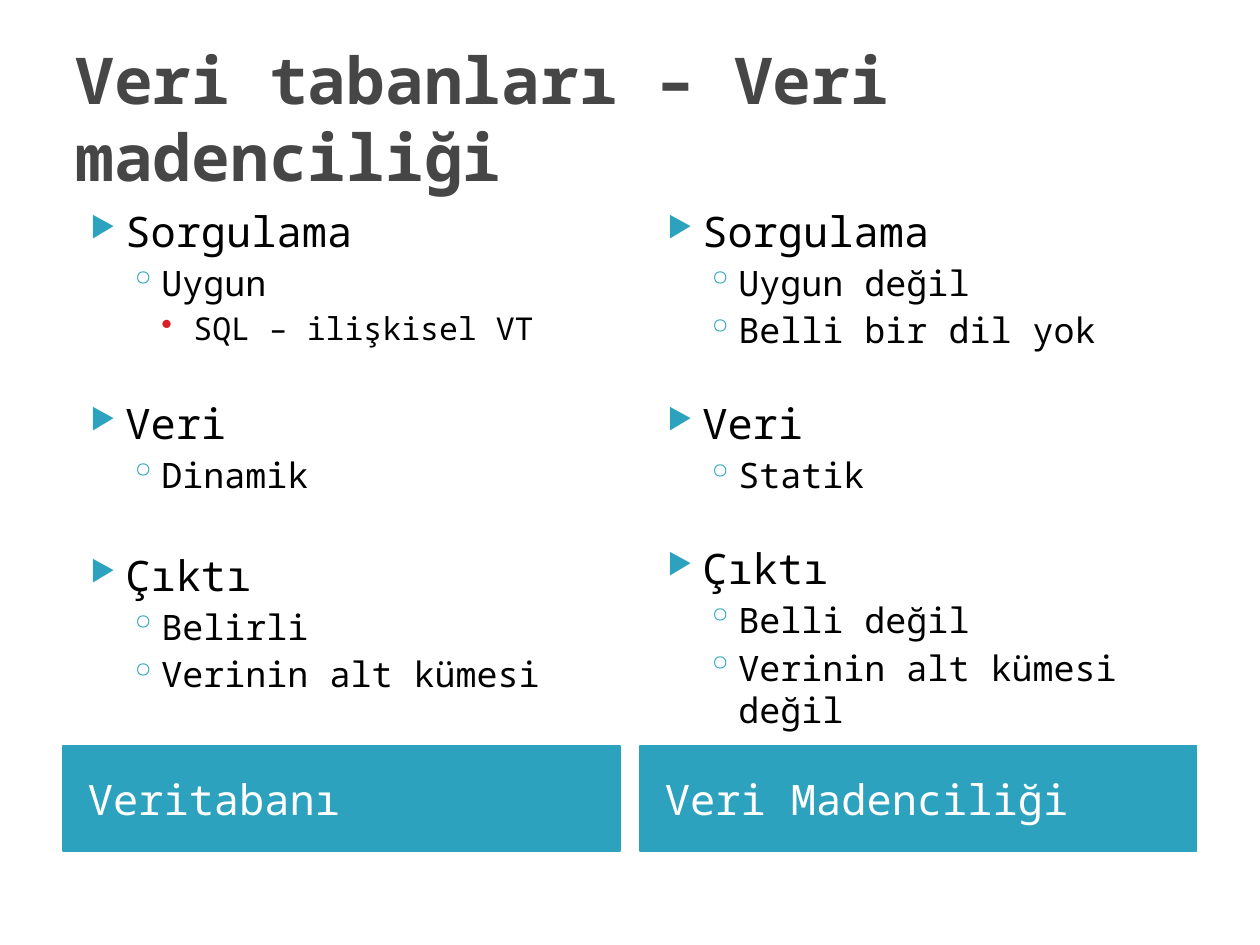
from dataclasses import dataclass
from typing import NamedTuple

from lxml import etree
from pptx import Presentation
from pptx.dml.color import RGBColor
from pptx.enum.shapes import MSO_SHAPE
from pptx.enum.text import MSO_ANCHOR, PP_ALIGN
from pptx.oxml.ns import qn
from pptx.util import Pt

PX = 914400 // 126
FONT = "Noto Sans Mono"
TEAL = RGBColor(0x2D, 0xA2, 0xBF)
RED = RGBColor(0xDA, 0x1F, 0x28)
GRAY = RGBColor(0x46, 0x46, 0x46)
BLACK = RGBColor(0x00, 0x00, 0x00)
WHITE = RGBColor(0xFF, 0xFF, 0xFF)
RECTANGLE = MSO_SHAPE.RECTANGLE
MIDDLE = MSO_ANCHOR.MIDDLE
TOP = MSO_ANCHOR.TOP
LEFT = PP_ALIGN.LEFT


class Box(NamedTuple):
    left: int
    top: int
    width: int
    height: int

    def emu(self) -> tuple:
        return tuple(value * PX for value in self)


class Level(NamedTuple):
    size: int
    margin: int
    hanging: int
    space_before: float
    bullet: str
    color: RGBColor
    bullet_percent: int = 100


class Item(NamedTuple):
    level: int
    text: str
    space_before: float | None = None


@dataclass
class Column:
    left: int
    label: str
    items: list[Item]


LEVELS = [
    Level(24, 50, 35, 4, "▶", TEAL, 68),
    Level(20, 86, 32, 3.2, "◦", TEAL),
    Level(18, 118, 32, 3.5, "•", RED),
]
TITLE = "Veri tabanları – Veri madenciliği"
TITLE_BOX = Box(63, 38, 1134, 158)
COLUMN_WIDTH = 557
BODY_TOP, BODY_HEIGHT = 199, 543
LABEL_TOP, LABEL_HEIGHT = 746, 105
COLUMNS = [
    Column(63, "Veritabanı", [
        Item(0, "Sorgulama"),
        Item(1, "Uygun"),
        Item(2, "SQL – ilişkisel VT"),
        Item(0, "Veri", 28.7),
        Item(1, "Dinamik"),
        Item(0, "Çıktı", 30.8),
        Item(1, "Belirli"),
        Item(1, "Verinin alt kümesi"),
    ]),
    Column(640, "Veri Madenciliği", [
        Item(0, "Sorgulama"),
        Item(1, "Uygun değil"),
        Item(1, "Belli bir dil yok"),
        Item(0, "Veri", 26.8),
        Item(1, "Statik"),
        Item(0, "Çıktı", 26.8),
        Item(1, "Belli değil"),
        Item(1, "Verinin alt kümesi değil"),
    ]),
]


def format_runs(paragraph, size: float, color: RGBColor, bold: bool = False) -> None:
    for run in paragraph.runs:
        run.font.name = FONT
        run.font.size = Pt(size)
        run.font.bold = bold
        run.font.color.rgb = color


def add_text_box(slide, box: Box, anchor):
    text_frame = slide.shapes.add_textbox(*box.emu()).text_frame
    text_frame.word_wrap = True
    text_frame.vertical_anchor = anchor
    return text_frame


def add_bullet(paragraph, level: Level) -> None:
    properties = paragraph._p.get_or_add_pPr()
    properties.set("marL", str(level.margin * PX))
    properties.set("indent", str(-level.hanging * PX))
    color = etree.SubElement(properties, qn("a:buClr"))
    etree.SubElement(color, qn("a:srgbClr"), val=str(level.color))
    etree.SubElement(properties, qn("a:buSzPct"), val=str(level.bullet_percent * 1000))
    etree.SubElement(properties, qn("a:buChar"), char=level.bullet)


def add_title(slide) -> None:
    text_frame = add_text_box(slide, TITLE_BOX, MIDDLE)
    text_frame.text = TITLE
    format_runs(text_frame.paragraphs[0], 36.9, GRAY, bold=True)


def add_body(slide, column: Column) -> None:
    box = Box(column.left, BODY_TOP, COLUMN_WIDTH, BODY_HEIGHT)
    text_frame = add_text_box(slide, box, TOP)
    text_frame.text = "\n".join(item.text for item in column.items)
    for paragraph, item in zip(text_frame.paragraphs, column.items):
        level = LEVELS[item.level]
        paragraph.level = item.level
        paragraph.space_before = Pt(item.space_before or level.space_before)
        add_bullet(paragraph, level)
        format_runs(paragraph, level.size, BLACK)


def add_label(slide, column: Column) -> None:
    box = Box(column.left, LABEL_TOP, COLUMN_WIDTH, LABEL_HEIGHT)
    shape = slide.shapes.add_shape(RECTANGLE, *box.emu())
    shape.shadow.inherit = False
    shape.fill.solid()
    shape.fill.fore_color.rgb = TEAL
    shape.line.color.rgb = TEAL
    shape.line.width = Pt(0.75)
    text_frame = shape.text_frame
    text_frame.word_wrap = True
    text_frame.vertical_anchor = MIDDLE
    text_frame.margin_left = 25 * PX
    text_frame.text = column.label
    paragraph = text_frame.paragraphs[0]
    paragraph.alignment = LEFT
    paragraph.space_before = Pt(4)
    format_runs(paragraph, 24, WHITE)


def main() -> None:
    presentation = Presentation()
    presentation.slide_width = 1260 * PX
    presentation.slide_height = 945 * PX
    slide = presentation.slides.add_slide(presentation.slide_layouts[6])
    add_title(slide)
    for column in COLUMNS:
        add_label(slide, column)
        add_body(slide, column)
    presentation.save("out.pptx")


if __name__ == "__main__":
    main()
